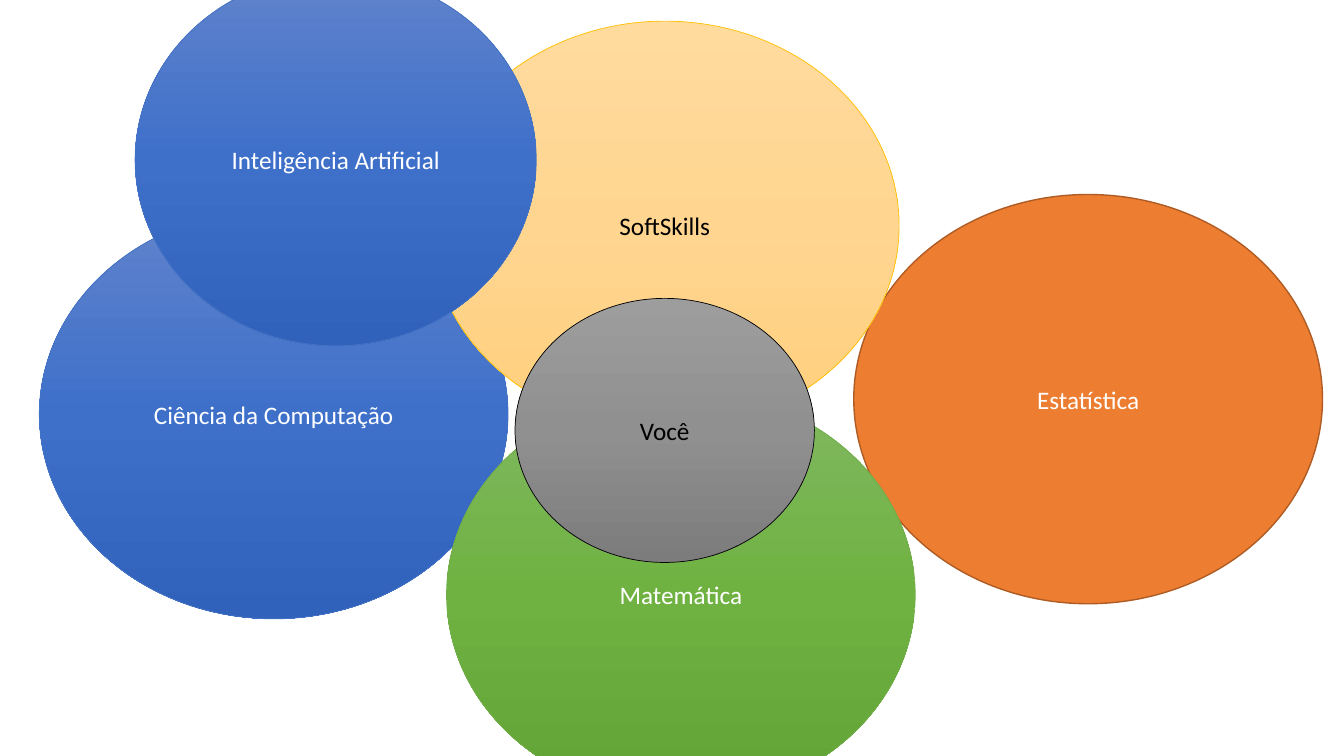
import copy

import pptx
import pptx.dml.color
import pptx.enum.shapes
import pptx.enum.text
import pptx.oxml.ns
import pptx.util

Pt = pptx.util.Pt

SLIDE_SIZE = (960, 540)
FIELD_SIZE = (334.8, 292.32)
YOU_SIZE = (213.84, 188.64)
AI_SIZE = (286.56, 265.68)

WHITE = "FFFFFF"
BLACK = "000000"
BLUES = ("6183CB", "3E70CA", "3062BB")
GREENS = ("81B861", "6FB242", "62A336")
YELLOWS = ("FFDB9E", "FFD590", "FFD07C")
GREYS = ("9D9D9D", "909090", "7C7C7C")

CIRCLES = [
    ("Ciência da Computação", (28.08, 149.76), FIELD_SIZE, BLUES, "4472C4", 0.5, WHITE),
    ("Estatística", (609.84, 138.96), FIELD_SIZE, ("ED7D31",), "AF5C24", 1, WHITE),
    ("Matemática", (318.96, 278.64), FIELD_SIZE, GREENS, "70AD47", 0.5, WHITE),
    ("SoftSkills", (307.44, 15.12), FIELD_SIZE, YELLOWS, "FFC000", 0.5, BLACK),
    ("Você", (367.92, 213.12), YOU_SIZE, GREYS, BLACK, 0.5, BLACK),
    ("Inteligência Artificial", (96.48, -18.72), AI_SIZE, BLUES, "4472C4", 0.5, WHITE),
]


def rgb(hex_color):
    """Return the colour for a hex string."""
    return pptx.dml.color.RGBColor.from_string(hex_color)


def fill_circle(circle, tones):
    """Fill with one solid tone, or a top-to-bottom gradient of three."""
    fill = circle.fill
    if len(tones) == 1:
        fill.solid()
        fill.fore_color.rgb = rgb(tones[0])
        return
    fill.gradient()
    fill.gradient_angle = 270
    first_stop = circle._element.spPr.find(".//" + pptx.oxml.ns.qn("a:gs"))
    first_stop.addnext(copy.deepcopy(first_stop))
    for stop, tone, position in zip(fill.gradient_stops, tones, (0, 0.5, 1)):
        stop.color.rgb = rgb(tone)
        stop.position = position


def add_circle(slide, label, corner, size, tones, outline, outline_width, ink):
    """Draw one labelled circle in the box given by corner and size."""
    circle = slide.shapes.add_shape(
        pptx.enum.shapes.MSO_SHAPE.OVAL, *map(Pt, corner + size))
    circle.shadow.inherit = False
    fill_circle(circle, tones)
    circle.line.color.rgb = rgb(outline)
    circle.line.width = Pt(outline_width)
    frame = circle.text_frame
    frame.text = label
    frame.word_wrap = True
    frame.vertical_anchor = pptx.enum.text.MSO_ANCHOR.MIDDLE
    paragraph = frame.paragraphs[0]
    paragraph.alignment = pptx.enum.text.PP_ALIGN.CENTER
    font = paragraph.runs[0].font
    font.name = "Calibri"
    font.size = Pt(18)
    font.color.rgb = rgb(ink)


def build_skills_slide(presentation):
    """Add the slide of overlapping skill circles."""
    slide = presentation.slides.add_slide(presentation.slide_layouts[6])
    for circle in CIRCLES:
        add_circle(slide, *circle)


def main():
    """Build and save the presentation."""
    presentation = pptx.Presentation()
    presentation.slide_width, presentation.slide_height = map(Pt, SLIDE_SIZE)
    build_skills_slide(presentation)
    presentation.save("out.pptx")


if __name__ == "__main__":
    main()
